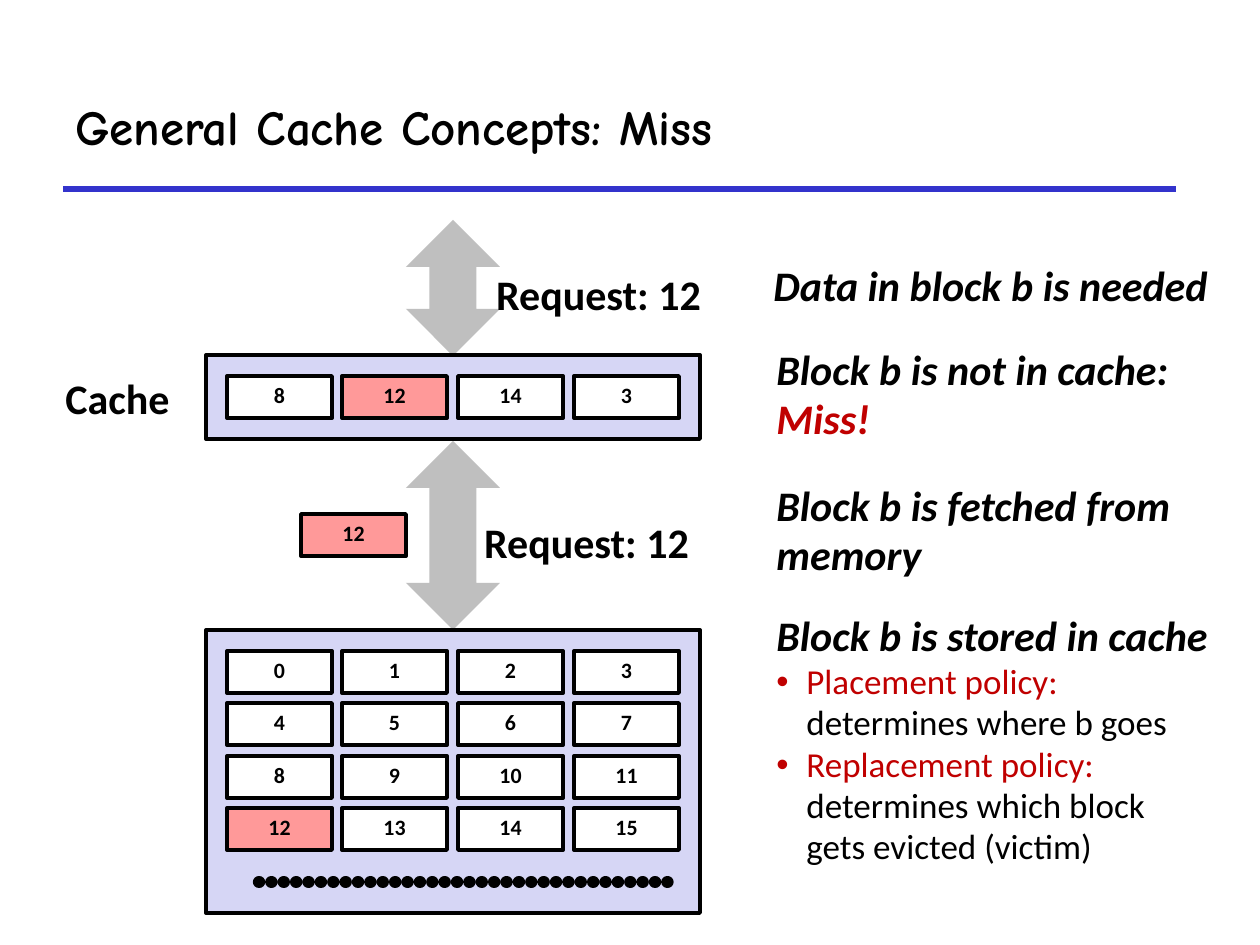
import lxml.etree
import pptx
import pptx.dml.color
import pptx.enum.shapes
import pptx.enum.text
import pptx.oxml.ns
import pptx.util

SHAPE = pptx.enum.shapes.MSO_SHAPE
ALIGN = pptx.enum.text.PP_ALIGN
ANCHOR = pptx.enum.text.MSO_ANCHOR
BLACK, WHITE, RED = "000000", "FFFFFF", "C00000"
GRAY, LAVENDER, PINK, BLUE = "BFBFBF", "D6D6F5", "FF9999", "3333CC"
CELL_LEFT, CELL_W, CELL_H = 227, 105, 42


def px(n):
    """Turn pixels into EMU."""
    return pptx.util.Emu(round(n * 914400 / 126))


def rgb(color):
    """Turn a hex string into a colour."""
    return pptx.dml.color.RGBColor.from_string(color)


def child(parent, tag, **attrs):
    """Append a DrawingML element to a parent."""
    return lxml.etree.SubElement(parent, pptx.oxml.ns.qn(tag), attrs)


def style(font, size, color=None, bold=True, italic=False, name="Calibri"):
    """Set the look of a font."""
    font.name, font.size = name, pptx.util.Pt(size)
    font.bold, font.italic = bold, italic
    if color:
        font.color.rgb = rgb(color)


def add_block(s, kind, box, fill, line=None):
    """Add a filled shape, outlined if a line colour is given."""
    sp = s.shapes.add_shape(kind, *map(px, box))
    sp.shadow.inherit = False
    sp.fill.solid()
    sp.fill.fore_color.rgb = rgb(fill)
    if line:
        sp.line.color.rgb = rgb(line)
        sp.line.width = pptx.util.Pt(2.25)
    else:
        sp.line.fill.background()
    return sp


def add_cell(s, x, y, number):
    """Add one numbered memory block, with block 12 highlighted."""
    fill = PINK if number == 12 else WHITE
    sp = add_block(s, SHAPE.RECTANGLE, (x, y, CELL_W, CELL_H), fill, BLACK)
    tf = sp.text_frame
    tf.vertical_anchor = ANCHOR.MIDDLE
    p = tf.paragraphs[0]
    p.text = str(number)
    p.alignment = ALIGN.CENTER
    p.line_spacing = 0.8
    style(p.font, 12.5, BLACK)


def add_store(s, y, height, rows):
    """Add a framed store with its rows of blocks."""
    add_block(s, SHAPE.RECTANGLE, (206, y, 494, height), LAVENDER, BLACK)
    for i, row in enumerate(rows):
        for j, number in enumerate(row):
            add_cell(s, CELL_LEFT + j * 347 // 3, y + 21 + i * 105 // 2, number)


def add_line(s, x1, x2, y, color, width):
    """Add a horizontal line."""
    c = s.shapes.add_connector(
        pptx.enum.shapes.MSO_CONNECTOR.STRAIGHT, px(x1), px(y), px(x2), px(y))
    c.line.color.rgb = rgb(color)
    c.line.width = pptx.util.Pt(width)
    child(c._element.spPr, "a:effectLst")
    return c


def add_dots(s, x1, x2, y):
    """Add a row of touching round dots."""
    ln = add_line(s, x1, x2, y, BLACK, 7).line._get_or_add_ln()
    ln.set("cap", "rnd")
    child(child(ln, "a:custDash"), "a:ds", d="1000", sp="100000")


def add_frame(s, box, anchor):
    """Add an unwrapped text box and return its text frame."""
    tf = s.shapes.add_textbox(*map(px, box)).text_frame
    tf.word_wrap = False
    tf.auto_size = pptx.enum.text.MSO_AUTO_SIZE.SHAPE_TO_FIT_TEXT
    tf.vertical_anchor = anchor
    return tf


def add_label(s, box, text, align=ALIGN.LEFT):
    """Add a bold diagram label."""
    p = add_frame(s, box, ANCHOR.TOP).paragraphs[0]
    p.text = text
    p.alignment = align
    style(p.font, 24, BLACK)


def add_step(s, box, lines):
    """Add bold italic lines that explain one step."""
    tf = add_frame(s, box, ANCHOR.MIDDLE)
    for i, (text, color) in enumerate(lines):
        p = tf.add_paragraph() if i else tf.paragraphs[0]
        p.text = text
        p.line_spacing = 0.98
        style(p.font, 24, color, italic=True)
    return tf


def add_policy(tf, term, lines):
    """Add a bulleted policy with a red term and its explanation."""
    p = tf.add_paragraph()
    p.line_spacing = 0.98
    pPr = p._p.get_or_add_pPr()
    pPr.set("marL", str(px(30)))
    pPr.set("indent", str(-px(30)))
    child(child(pPr, "a:buClr"), "a:srgbClr", val=RED)
    child(pPr, "a:buFont", typeface="Arial")
    child(pPr, "a:buChar", char="•")
    style(p.font, 20, bold=False)
    for i, text in enumerate([term, *lines]):
        if i:
            p.add_line_break()
        r = p.add_run()
        r.text = text
        r.font.color.rgb = rgb(BLACK if i else RED)


def add_title(s, text):
    """Add the slide title and the rule below it."""
    add_line(s, 63, 1176, 189, BLUE, 3)
    tf = s.shapes.add_textbox(px(63), px(63), px(1113), px(126)).text_frame
    tf.word_wrap = True
    tf.vertical_anchor = ANCHOR.MIDDLE
    p = tf.paragraphs[0]
    p.text = text
    style(p.font, 28, BLACK, name="Comic Neue")


def main():
    """Build the slide and save it."""
    prs = pptx.Presentation()
    prs.slide_width, prs.slide_height = px(1260), px(945)
    s = prs.slides.add_slide(prs.slide_layouts[6])
    add_title(s, "General Cache Concepts: Miss")

    for y, height in ((220, 136), (441, 189)):
        add_block(s, SHAPE.UP_DOWN_ARROW, (406, y, 94, height), GRAY)
    add_store(s, 630, 283, [range(n, n + 4) for n in range(0, 16, 4)])
    add_dots(s, 259, 679, 882)
    add_store(s, 355, 84, [(8, 12, 14, 3)])
    add_cell(s, 301, 514, 12)

    add_label(s, (53, 366, 129, 63), "Cache")
    for x, y in ((483, 262), (471, 510)):
        add_label(s, (x, y, 231, 63), "Request: 12", ALIGN.CENTER)

    add_step(s, (761, 256, 460, 62), [("Data in block b is needed", BLACK)])
    add_step(s, (764, 339, 417, 112),
             [("Block b is not in cache:", BLACK), ("Miss!", RED)])
    add_step(s, (764, 475, 420, 112),
             [("Block b is fetched from", BLACK), ("memory", BLACK)])
    tf = add_step(s, (764, 606, 457, 268), [("Block b is stored in cache", BLACK)])
    add_policy(tf, "Placement policy:", ["determines where b goes"])
    add_policy(tf, "Replacement policy:",
               ["determines which block", "gets evicted (victim)"])
    prs.save("out.pptx")


if __name__ == "__main__":
    main()
